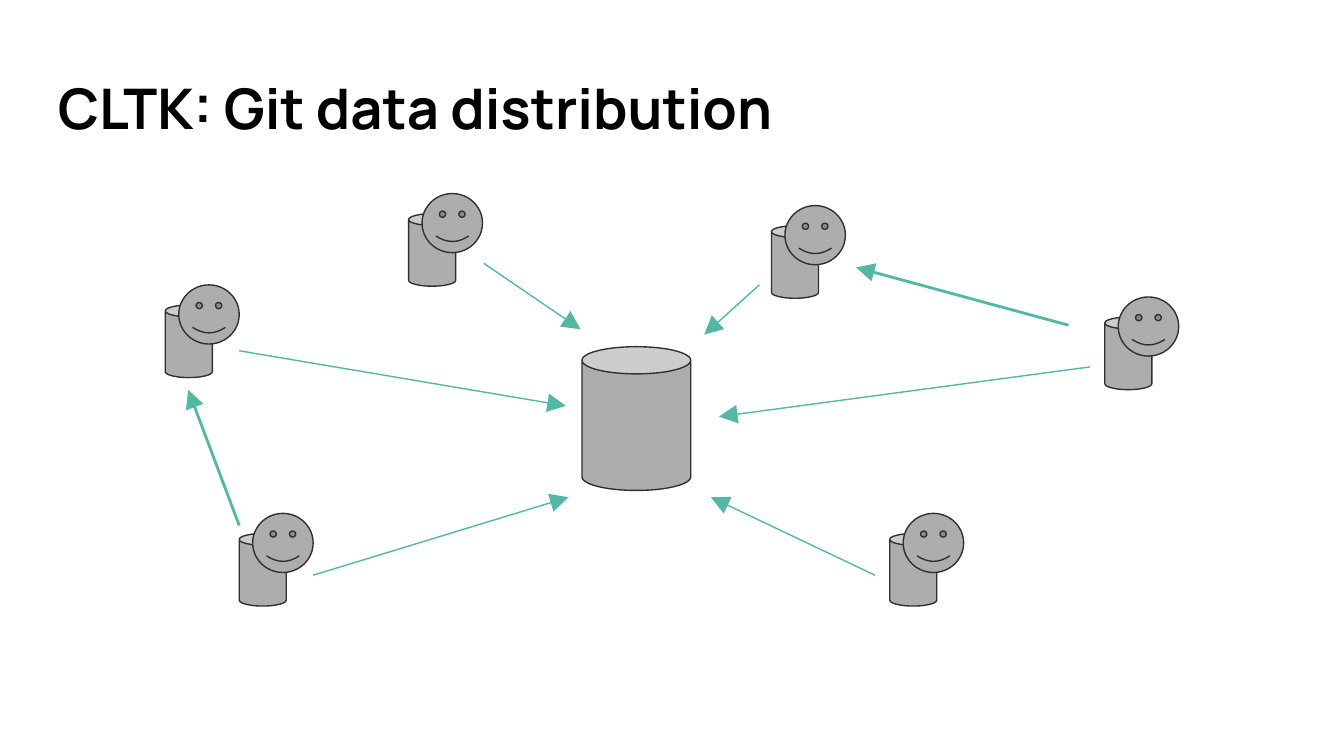
from lxml import etree
from pptx import Presentation
from pptx.dml.color import RGBColor
from pptx.enum.shapes import MSO_CONNECTOR as CONN, MSO_SHAPE as SHAPE
from pptx.enum.text import MSO_ANCHOR as ANCHOR, PP_ALIGN as ALIGN
from pptx.oxml.ns import qn
from pptx.util import Inches, Pt

# Content
TITLE = "CLTK: Git data distribution"
COLORS = {"text": "000000", "fill": "ADADAD", "outline": "303030", "arrow": "51B9A3"}
SERVER = (4.33, 2.58, 0.81, 1.07)
# Top left corner of each user's local store
USERS = [(1.78, 3.97), (1.23, 2.27), (6.62, 3.97),
         (5.74, 1.68), (3.04, 1.59), (8.22, 2.36)]
STORE_SIZE = (0.35, 0.54)
FACE_OFFSET, FACE_SIZE = (0.1, -0.15), (0.45, 0.44)
# Arrows as (start, end), by line width
ARROWS = {
    0.75: [((1.78, 2.61), (4.21, 3.02)), ((2.33, 4.28), (4.23, 3.7)),
           ((3.6, 1.96), (4.32, 2.45)), ((5.65, 2.12), (5.24, 2.49)),
           ((8.11, 2.73), (5.35, 3.1)), ((6.51, 4.28), (5.29, 3.7))],
    1.5: [((1.78, 3.91), (1.4, 2.9)), ((7.95, 2.42), (6.37, 1.99))],
}


def color(name):
    return RGBColor.from_string(COLORS[name])


def set_text(sp, text, size=30, font="Manrope", bold=False, fill="text"):
    tf = sp.text_frame
    tf.word_wrap = True
    tf.vertical_anchor = ANCHOR.MIDDLE
    tf.margin_left = tf.margin_right = tf.margin_top = tf.margin_bottom = Inches(0.1)
    p = tf.paragraphs[0]
    p.alignment = ALIGN.LEFT
    r = p.add_run()
    r.text = text
    r.font.size, r.font.name, r.font.bold = Pt(size), font, bold
    r.font.color.rgb = color(fill)


def add_shape(shapes, kind, box, adjust):
    sp = shapes.add_shape(kind, *map(Inches, box))
    sp.adjustments[0] = adjust
    sp.shadow.inherit = False
    sp.fill.solid()
    sp.fill.fore_color.rgb = color("fill")
    sp.line.color.rgb = color("outline")
    sp.line.width = Pt(0.75)


def add_user(shapes, x, y):
    group = shapes.add_group_shape()
    dx, dy = FACE_OFFSET
    add_shape(group.shapes, SHAPE.CAN, (x, y, *STORE_SIZE), 0.25)
    add_shape(group.shapes, SHAPE.SMILEY_FACE, (x + dx, y + dy, *FACE_SIZE), 0.047)


def add_arrow(shapes, start, end, width):
    line = shapes.add_connector(CONN.STRAIGHT, *map(Inches, start + end))
    line.line.color.rgb = color("arrow")
    line.line.width = Pt(width)
    etree.SubElement(line.line._get_or_add_ln(), qn("a:tailEnd"),
                     type="triangle", w="lg", len="lg")
    etree.SubElement(line._element.spPr, qn("a:effectLst"))


# Widescreen 16:9 slide
prs = Presentation()
prs.slide_width = Inches(10)
prs.slide_height = prs.slide_width * 9 // 16
s = prs.slides.add_slide(prs.slide_layouts[5])

# Title
title = s.shapes.title
title.left, title.top, title.width, title.height = map(Inches, (0.33, 0.45, 9.32, 0.7))
set_text(title, TITLE, bold=True)

# Central server and users
add_shape(s.shapes, SHAPE.CAN, SERVER, 0.25)
for x, y in USERS:
    add_user(s.shapes, x, y)

# Data flows
for width, flows in ARROWS.items():
    for start, end in flows:
        add_arrow(s.shapes, start, end, width)

prs.save("out.pptx")
